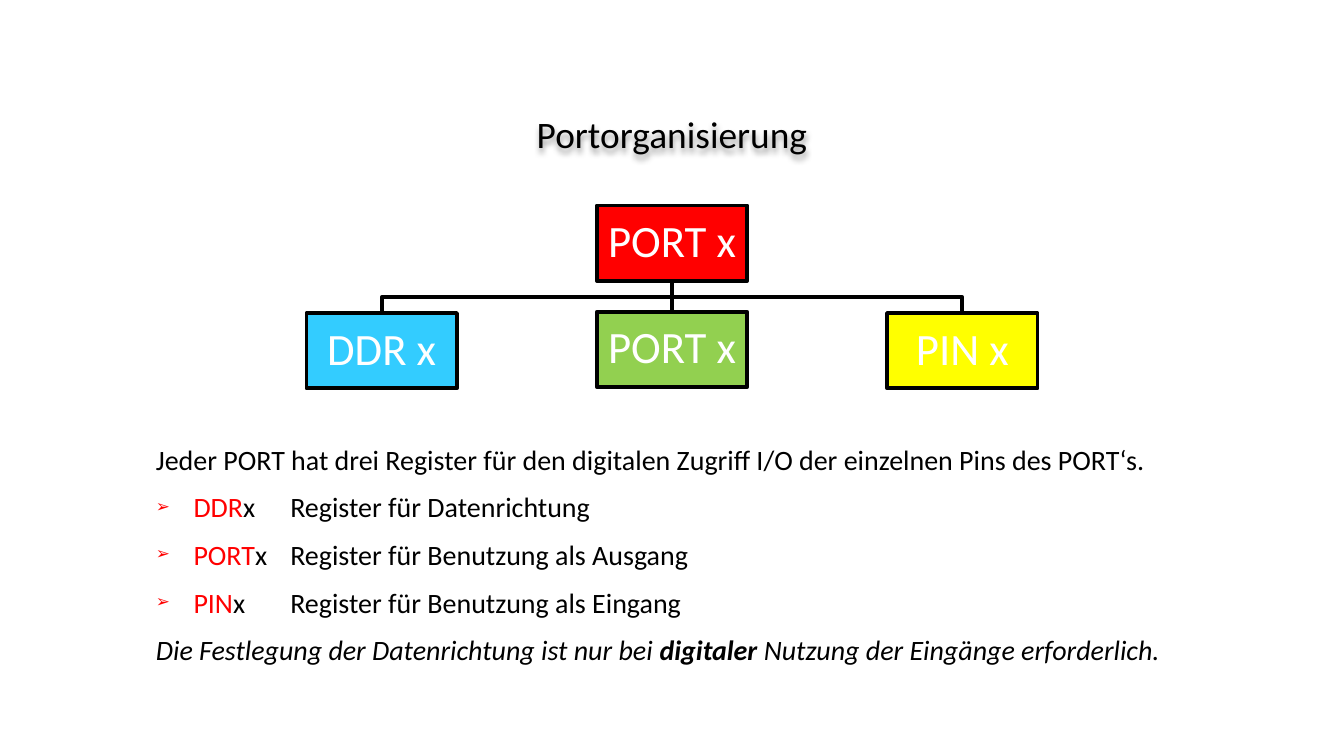
from lxml.etree import SubElement
from pptx import Presentation
from pptx.dml.color import RGBColor
from pptx.enum.shapes import MSO_CONNECTOR, MSO_SHAPE
from pptx.enum.text import MSO_ANCHOR, MSO_AUTO_SIZE, PP_ALIGN
from pptx.oxml.ns import qn
from pptx.util import Inches, Pt

COLORS = {
    "black": "000000", "white": "FFFFFF", "red": "FF0000",
    "blue": "33CCFF", "green": "92D050", "yellow": "FFFF00",
}
FONT = "Calibri"
TITLE = "Portorganisierung"
ROOT = ("PORT x", "red")
REGISTERS = [("DDR x", "blue", 2.33), ("PORT x", "green", 2.32), ("PIN x", "yellow", 2.33)]
BODY = [
    (False, [("Jeder PORT hat drei Register für den digitalen Zugriff I/O der einzelnen Pins des PORT‘s.", "")]),
    (True, [("DDR", "red"), ("x \tRegister für Datenrichtung", "")]),
    (True, [("PORT", "red"), ("x\tRegister für Benutzung als Ausgang", "")]),
    (True, [("PIN", "red"), ("x\tRegister für Benutzung als Eingang", "")]),
    (False, [("Die Festlegung der Datenrichtung ist nur bei ", "italic"),
             ("digitaler", "italic bold"),
             (" Nutzung der Eingänge erforderlich.", "italic")]),
]
WIDTH = 10
HEIGHT = WIDTH * 9 / 16
BOX_WIDTH, BOX_HEIGHT = 1.12, 0.56
CENTER, COLUMN = WIDTH / 2, 2.16
ROOT_TOP, BUS = 1.53, 2.21
ROOT_BOTTOM = ROOT_TOP + BOX_HEIGHT


def color(name):
    return RGBColor.from_string(COLORS[name])


def add_element(parent, tag, **attributes):
    return SubElement(parent, qn(tag), {key: str(value) for key, value in attributes.items()})


def style_run(run, size, name):
    run.font.name, run.font.size = FONT, Pt(size)
    run.font.color.rgb = color(name)


def style_line(shape):
    shape.line.color.rgb = color("black")
    shape.line.width = Pt(2)


def place(shape, left, top, width, height):
    shape.left, shape.top = Inches(left), Inches(top)
    shape.width, shape.height = Inches(width), Inches(height)
    shape.text_frame.auto_size = MSO_AUTO_SIZE.NONE
    shape.text_frame.word_wrap = True


def format_title(title):
    place(title, 1.14, 0.78, 7.72, 0.44)
    title.text_frame.text = TITLE
    title.text_frame.vertical_anchor = MSO_ANCHOR.TOP
    paragraph = title.text_frame.paragraphs[0]
    paragraph.alignment = PP_ALIGN.CENTER
    style_run(paragraph.runs[0], 20, "black")
    effects = add_element(title.element.spPr, "a:effectLst")
    shadow = add_element(effects, "a:outerShdw", blurRad=38100, dist=25400, dir=5400000)
    shade = add_element(shadow, "a:srgbClr", val=COLORS["black"])
    add_element(shade, "a:alpha", val=40000)


def format_bullet(paragraph, bulleted):
    properties = paragraph._p.get_or_add_pPr()
    indent = Inches(0.28) if bulleted else 0
    properties.set("marL", str(indent))
    properties.set("indent", str(-indent))
    if not bulleted:
        add_element(properties, "a:buNone")
        return
    add_element(add_element(properties, "a:buClr"), "a:srgbClr", val=COLORS["red"])
    add_element(properties, "a:buSzPct", val=60000)
    add_element(properties, "a:buFont", typeface=FONT)
    add_element(properties, "a:buChar", char="➢")
    add_element(add_element(properties, "a:tabLst"), "a:tab", pos=Inches(1), algn="l")


def fill_body(body):
    place(body, 1.06, 3.24, 7.88, 1.87)
    frame = body.text_frame
    for index, (bulleted, runs) in enumerate(BODY):
        paragraph = frame.add_paragraph() if index else frame.paragraphs[0]
        paragraph.space_before = Pt(7.5 if index else 0)
        format_bullet(paragraph, bulleted)
        for text, style in runs:
            run = paragraph.add_run()
            run.text = text
            style_run(run, 15, "red" if style == "red" else "black")
            run.font.italic = "italic" in style
            run.font.bold = "bold" in style


def add_branch(slide, x, top):
    if x == CENTER:
        branch = slide.shapes.add_connector(
            MSO_CONNECTOR.STRAIGHT, Inches(x), Inches(ROOT_BOTTOM), Inches(x), Inches(top))
        add_element(branch.element.spPr, "a:effectLst")
    else:
        builder = slide.shapes.build_freeform(Inches(CENTER), Inches(ROOT_BOTTOM))
        corners = [(CENTER, BUS), (x, BUS), (x, top)]
        builder.add_line_segments([(Inches(a), Inches(b)) for a, b in corners], close=False)
        branch = builder.convert_to_shape()
        branch.fill.background()
        branch.shadow.inherit = False
    style_line(branch)


def add_box(slide, text, fill, x, top):
    box = slide.shapes.add_shape(
        MSO_SHAPE.RECTANGLE, Inches(x - BOX_WIDTH / 2), Inches(top), Inches(BOX_WIDTH), Inches(BOX_HEIGHT))
    box.shadow.inherit = False
    box.fill.solid()
    box.fill.fore_color.rgb = color(fill)
    style_line(box)
    frame = box.text_frame
    frame.margin_left = frame.margin_right = frame.margin_top = frame.margin_bottom = Inches(0.02)
    frame.word_wrap = True
    frame.vertical_anchor = MSO_ANCHOR.MIDDLE
    frame.text = text
    paragraph = frame.paragraphs[0]
    paragraph.alignment = PP_ALIGN.CENTER
    paragraph.line_spacing = 0.9
    style_run(paragraph.runs[0], 24, "white")


def main():
    presentation = Presentation()
    presentation.slide_width, presentation.slide_height = Inches(WIDTH), Inches(HEIGHT)
    slide = presentation.slides.add_slide(presentation.slide_layouts[1])
    format_title(slide.shapes.title)
    fill_body(slide.placeholders[1])
    nodes = [(text, fill, CENTER + (index - 1) * COLUMN, top)
             for index, (text, fill, top) in enumerate(REGISTERS)]
    for text, fill, x, top in nodes:
        add_branch(slide, x, top)
    for node in [(*ROOT, CENTER, ROOT_TOP), *nodes]:
        add_box(slide, *node)
    presentation.save("out.pptx")


if __name__ == "__main__":
    main()
